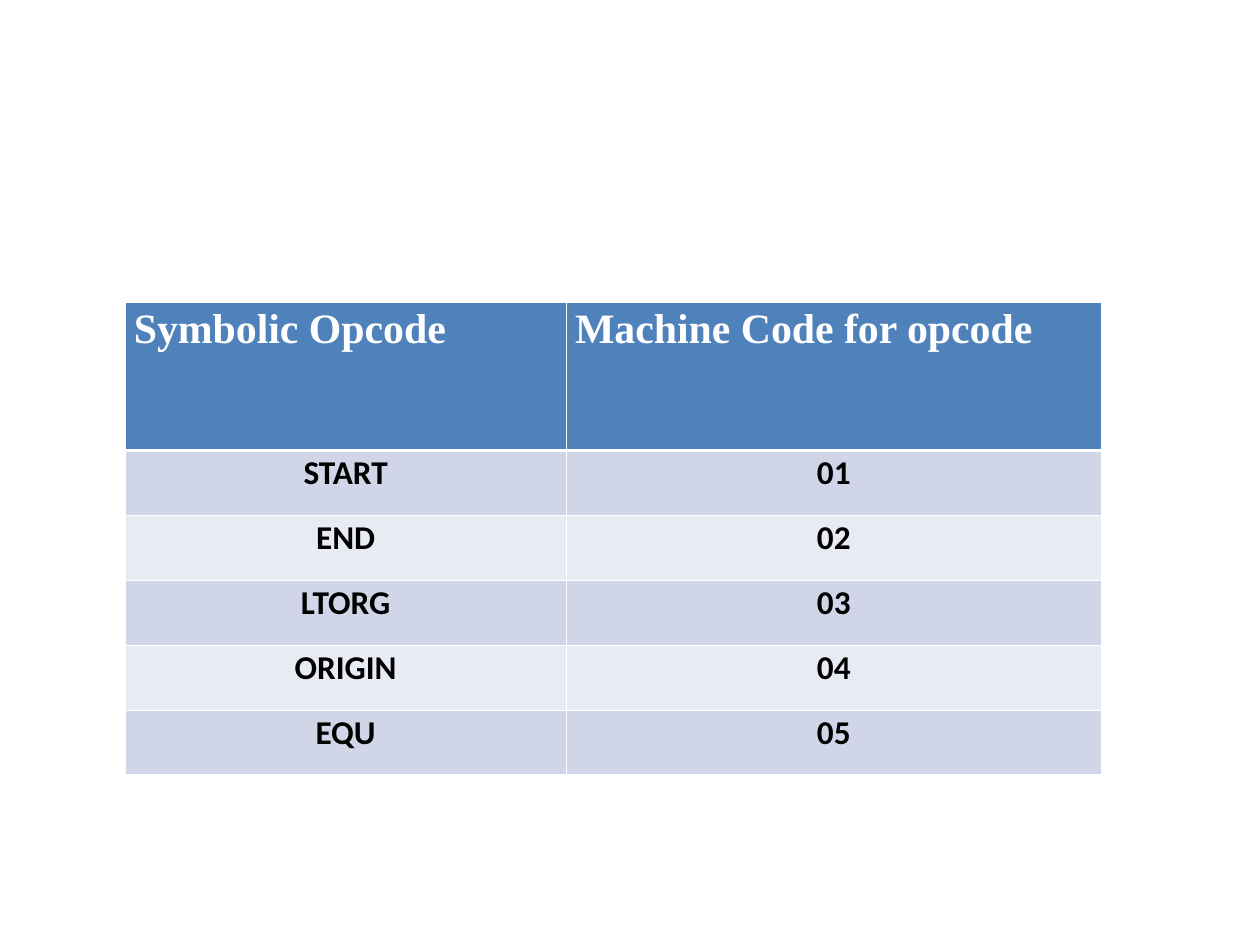
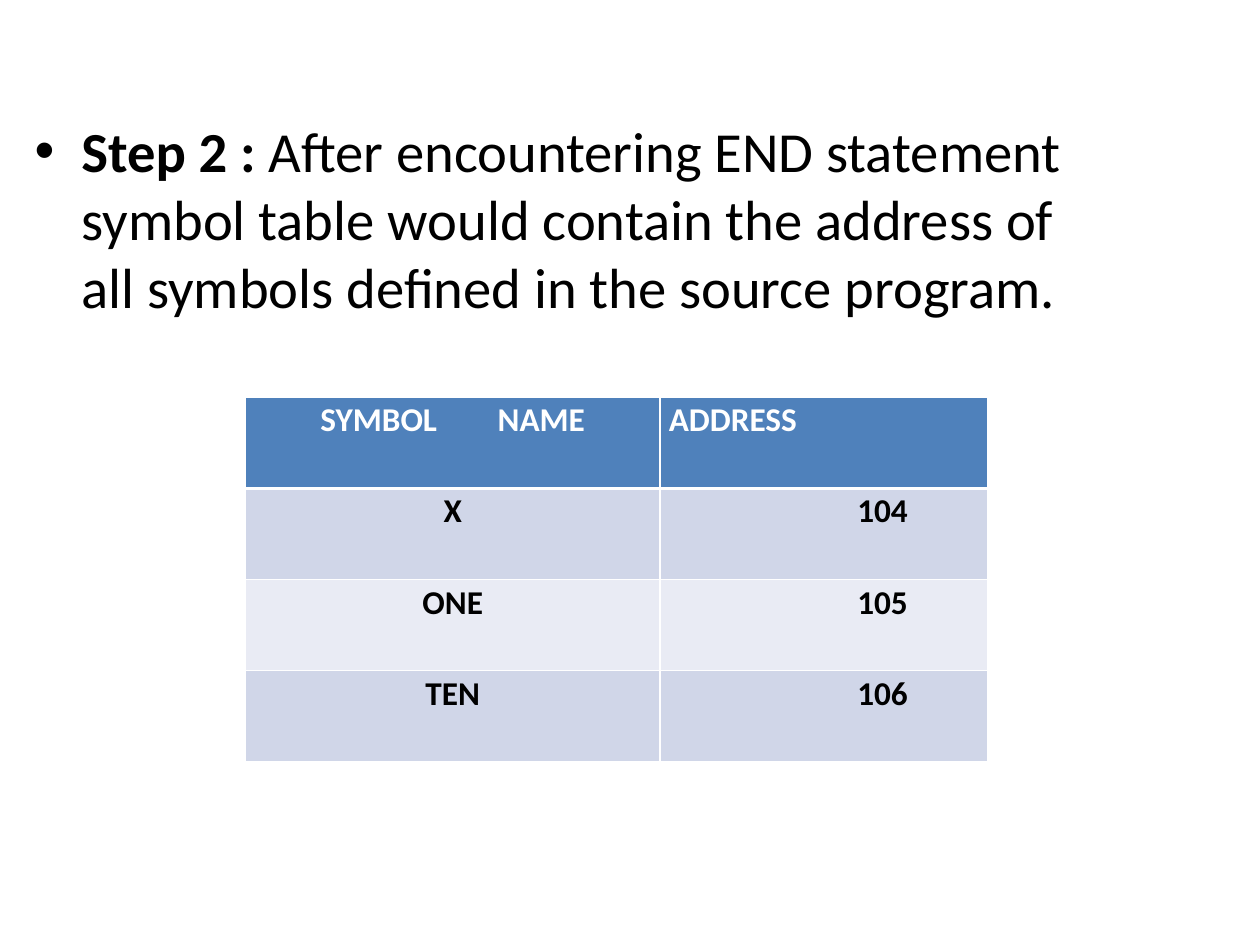
from lxml.etree import SubElement
from pptx import Presentation
from pptx.dml.color import RGBColor
from pptx.enum.text import PP_ALIGN
from pptx.oxml.ns import qn
from pptx.util import Inches, Pt

WIDE, HIGH = Inches(14.22), Inches(10.67)
BLUE, DARK, PALE = "4F81BB", "D0D6E8", "E9EBF4"
WHITE, BLACK = "FFFFFF", "000000"
LEFT, MID, RIGHT = PP_ALIGN.LEFT, PP_ALIGN.CENTER, PP_ALIGN.RIGHT


def add_run(para, text, size, color, bold=True, face="Calibri"):
    run = para.add_run()
    run.text = text
    font = run.font
    font.name, font.size, font.bold = face, Pt(size), bold
    font.color.rgb = RGBColor.from_string(color)


def add_tab(para, place):
    tabs = SubElement(para._p.get_or_add_pPr(), qn("a:tabLst"))
    SubElement(tabs, qn("a:tab"), pos=str(Inches(place)), algn="l")


deck = Presentation()
deck.slide_width, deck.slide_height = WIDE, HIGH
codes = ["START", "END", "LTORG", "ORIGIN", "EQU"]
names = ["X", "ONE", "TEN"]
tables = [
    {
        "at": (9.92, 32.05), "cols": (35.02, 42.48), "rows": (15.65, 6.86),
        "head": ("Symbolic Opcode", "Machine Code for opcode"),
        "face": "Times New Roman", "size": 34, "inset": 0.04,
        "align": (LEFT, LEFT), "body": (MID, MID), "right": 0,
        "data": [(code, f"{num:02}") for num, code in enumerate(codes, 1)],
    },
    {
        "at": (19.48, 42.08), "cols": (32.9, 26), "rows": (9.64, 9.64),
        "head": ("SYMBOL\tNAME", "ADDRESS"),
        "face": "Calibri", "size": 27, "inset": 0.03,
        "align": (MID, LEFT), "body": (MID, RIGHT), "right": 0.9,
        "data": [(name, str(num)) for num, name in enumerate(names, 104)],
    },
]

for plan in tables:
    slide = deck.slides.add_slide(deck.slide_layouts[6])
    lines = [plan["head"]] + plan["data"]
    widths = [int(WIDE * share / 100) for share in plan["cols"]]
    first, rest = [int(HIGH * share / 100) for share in plan["rows"]]
    heights = [first] + [rest] * len(plan["data"])
    left, top = plan["at"]
    table = slide.shapes.add_table(
        len(lines), 2, int(WIDE * left / 100), int(HIGH * top / 100),
        sum(widths), sum(heights)).table
    for col, width in zip(table.columns, widths):
        col.width = width
    for row, height in zip(table.rows, heights):
        row.height = height

    for r, line in enumerate(lines):
        for c, text in enumerate(line):
            cell = table.cell(r, c)
            head = r == 0
            align = plan["align" if head else "body"][c]
            cell.margin_left = Inches(0.1 if align == LEFT else 0)
            cell.margin_right = Inches(plan["right"] if align == RIGHT else 0)
            cell.margin_top = Inches(plan["inset"] if head else 0.03)
            cell.margin_bottom = 0
            for side in "LRTB":
                thick = (r, side) in ((0, "B"), (1, "T"))
                edge = SubElement(cell._tc.get_or_add_tcPr(), qn("a:ln" + side),
                                  w=str(Pt(3 if thick else 1)))
                SubElement(SubElement(edge, qn("a:solidFill")),
                           qn("a:srgbClr"), val=WHITE)
            cell.fill.solid()
            fill = BLUE if head else DARK if r % 2 else PALE
            cell.fill.fore_color.rgb = RGBColor.from_string(fill)
            para = cell.text_frame.paragraphs[0]
            para.alignment = align
            if "\t" in text:
                add_tab(para, 2)
            if head:
                add_run(para, text, plan["size"], WHITE, face=plan["face"])
            else:
                add_run(para, text, 27, BLACK)

box = slide.shapes.add_textbox(int(WIDE * 0.026), int(HIGH * 0.12),
                               int(WIDE * 0.86), int(HIGH * 0.22))
frame = box.text_frame
frame.word_wrap = True
frame.margin_left = frame.margin_bottom = 0
frame.margin_top, frame.margin_right = Inches(0.03), Inches(0.3)
para = frame.paragraphs[0]
props = para._p.get_or_add_pPr()
props.set("marL", str(Inches(0.55)))
props.set("indent", str(Inches(-0.53)))
SubElement(props, qn("a:buFont"), typeface="Arial")
SubElement(props, qn("a:buChar"), char="•")
add_tab(para, 0.55)
add_run(para, "Step 2 : ", 46, BLACK)
add_run(para, "After encountering END statement symbol table would contain "
        "the address of all symbols defined in the source program.",
        46, BLACK, bold=False)

deck.save("out.pptx")
